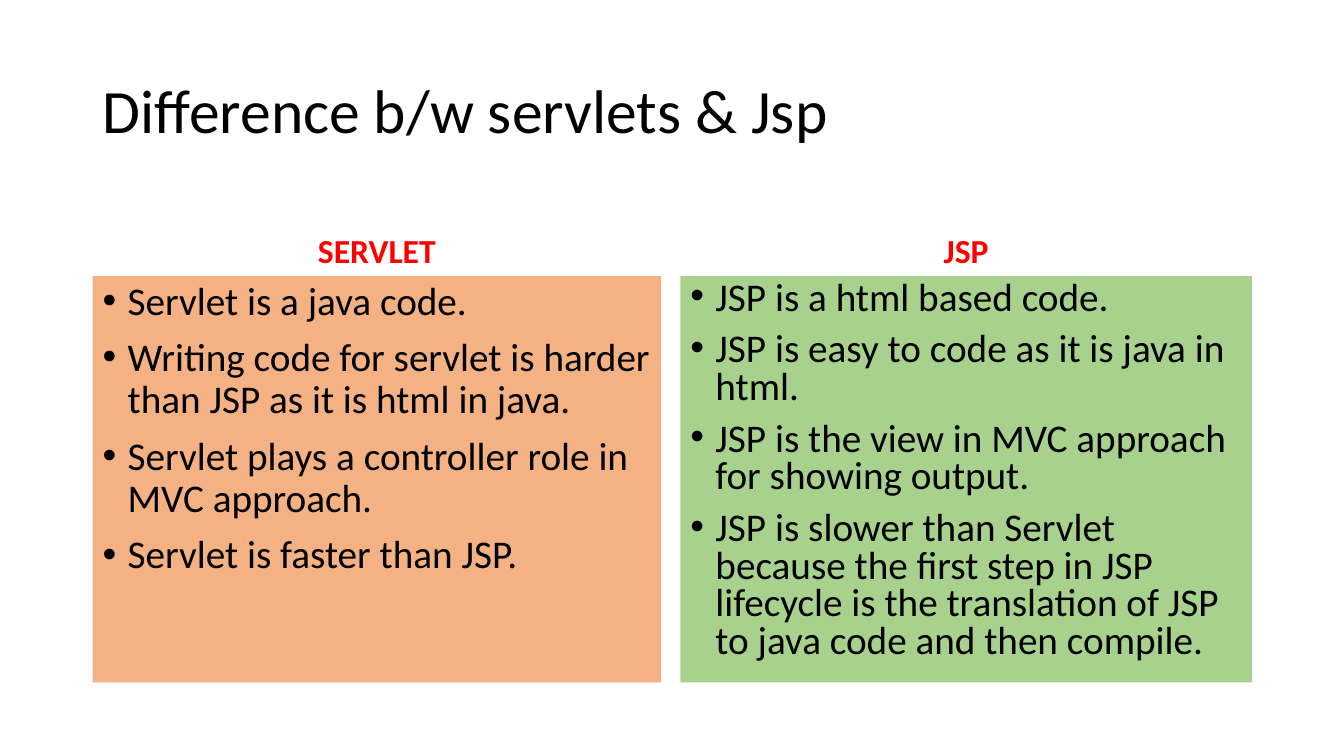
from pptx import Presentation
from pptx.dml.color import RGBColor as RGB
from pptx.enum.shapes import MSO_SHAPE as Shape
from pptx.enum.text import MSO_ANCHOR as Anchor, MSO_AUTO_SIZE as Fit, PP_ALIGN as Align
from pptx.oxml.ns import qn
from pptx.util import Pt
from lxml import etree

BLACK = RGB(0, 0, 0)
RED = RGB(0xFF, 0, 0)
ORANGE = RGB(0xF4, 0xB1, 0x83)
GREEN = RGB(0xA9, 0xD1, 0x8E)

SIDES = [
    ("SERVLET", 66.2, 406.1, ORANGE, 0.9, [
        "Servlet is a java code.",
        "Writing code for servlet is harder than JSP as it is html in java.",
        "Servlet plays a controller role in MVC approach.",
        "Servlet is faster than JSP.",
    ]),
    ("JSP", 486, 408.2, GREEN, 0.8, [
        "JSP is a html based code.",
        "JSP is easy to code as it is java in html.",
        "JSP is the view in MVC approach for showing output.",
        "JSP is slower than Servlet because the first step in JSP lifecycle "
        "is the translation of JSP to java code and then compile.",
    ]),
]


def write(shape, lines, size, color, align, anchor, pitch=0.9, gap=10, bold=False):
    frame = shape.text_frame
    frame.text = "\n".join(lines)
    frame.word_wrap = True
    frame.auto_size = Fit.NONE
    frame.vertical_anchor = anchor
    for para in frame.paragraphs:
        para.alignment = align
        para.line_spacing = pitch
        para.space_before = Pt(gap)
        for run in para.runs:
            font = run.font
            font.name = "Calibri"
            font.size = Pt(size)
            font.bold = bold
            font.color.rgb = color


def bullet(para):
    props = para._p.get_or_add_pPr()
    props.set("marL", str(Pt(18)))
    props.set("indent", str(Pt(-18)))
    etree.SubElement(props, qn("a:buFont")).set("typeface", "Arial")
    etree.SubElement(props, qn("a:buChar")).set("char", "•")


deck = Presentation()
deck.slide_width, deck.slide_height = Pt(960), Pt(540)
slide = deck.slides.add_slide(deck.slide_layouts[5])
shapes = slide.shapes

title = shapes.title
title.left, title.top, title.width, title.height = Pt(66.2), Pt(28.8), Pt(828), Pt(104.4)
write(title, ["Difference b/w servlets & Jsp"], 44, BLACK, Align.LEFT, Anchor.MIDDLE, gap=0)

for name, left, width, fill, pitch, points in SIDES:
    head = shapes.add_textbox(Pt(left), Pt(132.5), Pt(width), Pt(64.8))
    write(head, [name], 24, RED, Align.CENTER, Anchor.BOTTOM, bold=True)

    panel = shapes.add_shape(Shape.RECTANGLE, Pt(left), Pt(197.3), Pt(width), Pt(290.2))
    panel.shadow.inherit = False
    panel.fill.solid()
    panel.fill.fore_color.rgb = fill
    panel.line.fill.background()
    write(panel, points, 28, BLACK, Align.LEFT, Anchor.TOP, pitch)
    for para in panel.text_frame.paragraphs:
        bullet(para)

deck.save("out.pptx")
